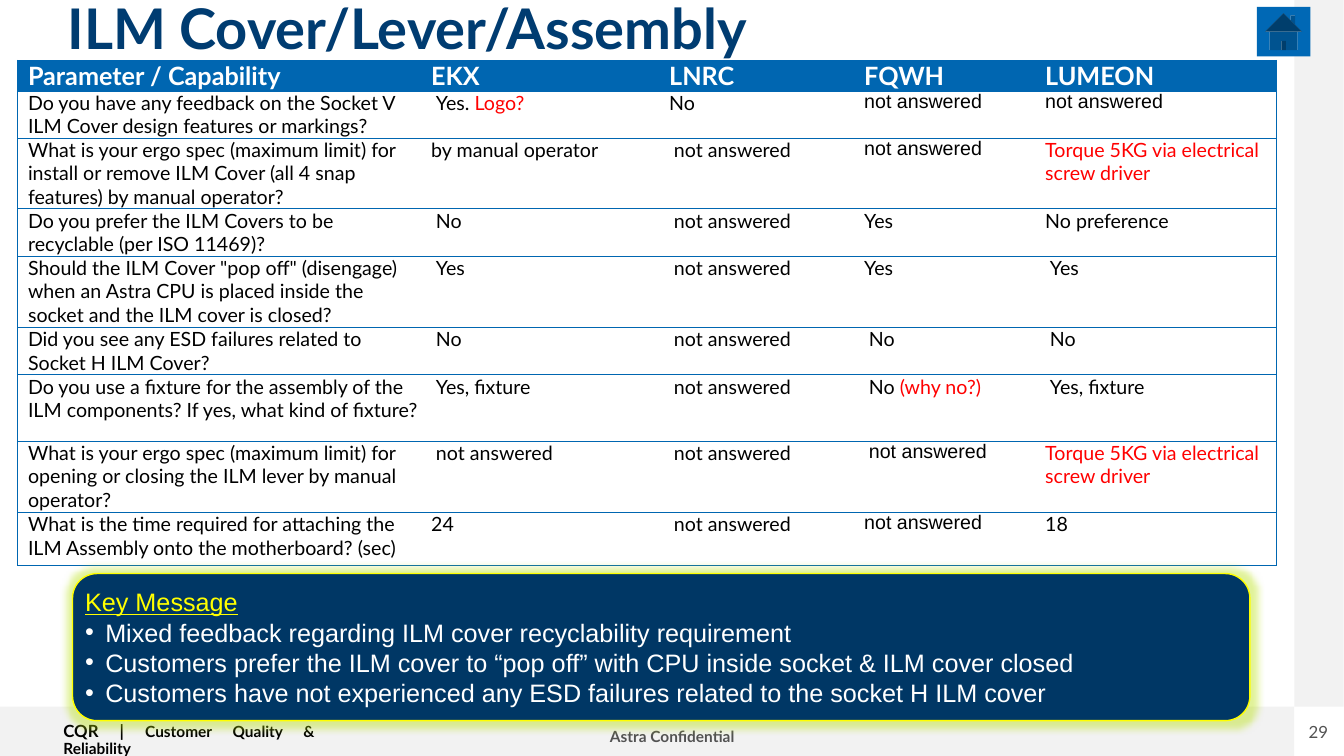
"""Build the survey table slide about the socket cover, lever and assembly."""
from dataclasses import dataclass
from typing import Any

from lxml import etree
from pptx import Presentation
from pptx import util as u
from pptx.dml.color import RGBColor
from pptx.enum import shapes, text
from pptx.oxml import ns

NAVY = RGBColor(0x00, 0x3C, 0x71)
PANEL = RGBColor(0x00, 0x37, 0x65)
BLUE = RGBColor(0x00, 0x66, 0xB1)
HOME = RGBColor(0x00, 0x68, 0xB5)
PALE = RGBColor(0xF2, 0xF2, 0xF2)
GREY = RGBColor(0x52, 0x52, 0x52)
LIME = RGBColor(0xB4, 0xE0, 0x00)
BLACK = RGBColor(0x00, 0x00, 0x00)
WHITE = RGBColor(0xFF, 0xFF, 0xFF)
RED = RGBColor(0xFF, 0x00, 0x00)
YELLOW = RGBColor(0xFF, 0xFF, 0x00)
LATO, ARIAL = "Lato", "Arial"
KIND = shapes.MSO_SHAPE
ALIGN = text.PP_ALIGN
ANCHOR = text.MSO_ANCHOR


@dataclass(frozen=True)
class Box:
    left: float
    top: float
    width: float
    height: float

    def pts(self) -> tuple[u.Pt, ...]:
        return tuple(u.Pt(n) for n in (self.left, self.top, self.width, self.height))


@dataclass(frozen=True)
class Run:
    words: str
    size: float = 14
    color: RGBColor = BLACK
    face: str = LATO
    bold: bool = False
    under: bool = False


@dataclass(frozen=True)
class Cell:
    runs: tuple[Run, ...]
    inset: float = 7.2


@dataclass(frozen=True)
class Row:
    height: float
    cells: tuple[Cell, ...]


@dataclass(frozen=True)
class Form:
    kind: Any
    box: Box
    fill: RGBColor


@dataclass(frozen=True)
class Label:
    box: Box
    runs: tuple[Run, ...]
    align: Any
    inset: tuple[float, float]
    gap: float


def plain(words: str, color: RGBColor = BLACK) -> Cell:
    return Cell((Run(words, color=color),))


def inset(words: str, *more: Run, face: str = LATO) -> Cell:
    return Cell((Run(words, face=face), *more), 10.6)


def head(words: str) -> Cell:
    return Cell((Run(words, 18, WHITE, bold=True),))


NONE = inset("not answered")
BLANK = Cell((Run("not answered", face=ARIAL),))
TORQUE = plain("Torque 5KG via electrical screw driver", RED)
WIDTHS = (288, 170, 139.3, 129.3, 172.4)
ROWS = (
    Row(22, tuple(head(w) for w in ("Parameter / Capability", "EKX", "LNRC", "FQWH", "LUMEON"))),
    Row(33.6, (plain("Do you have any feedback on the Socket V ILM Cover design features or markings?"),
               inset("Yes. ", Run("Logo?", color=RED)), plain("No"), BLANK, BLANK)),
    Row(50.6, (plain("What is your ergo spec (maximum limit) for install or remove ILM Cover "
                     "(all 4 snap features) by manual operator?"),
               plain("by manual operator"), NONE, BLANK, TORQUE)),
    Row(33.4, (plain("Do you prefer the ILM Covers to be recyclable (per ISO 11469)?"),
               inset("No"), NONE, plain("Yes"), plain("No preference"))),
    Row(51.1, (plain('Should the ILM Cover "pop off" (disengage) when an Astra CPU is placed '
                     "inside the socket and the ILM cover is closed?"),
               inset("Yes"), NONE, plain("Yes"), inset("Yes"))),
    Row(33.8, (plain("Did you see any ESD failures related to Socket H ILM Cover?"),
               inset("No"), NONE, inset("No"), inset("No"))),
    Row(47.3, (plain("Do you use a fixture for the assembly of the ILM components? "
                     "If yes, what kind of fixture?"),
               inset("Yes, fixture"), NONE, inset("No ", Run("(why no?)", color=RED)),
               inset("Yes, fixture"))),
    Row(50.8, (plain("What is your ergo spec (maximum limit) for opening or closing "
                     "the ILM lever by manual operator?"),
               NONE, NONE, inset("not answered", face=ARIAL), TORQUE)),
    Row(38.2, (plain("What is the time required for attaching the ILM Assembly "
                     "onto the motherboard? (sec)"),
               plain("24"), NONE, BLANK, plain("18"))),
)
BANDS = (
    Form(KIND.RECTANGLE, Box(0, 504.7, 924.5, 35.3), PALE),
    Form(KIND.RECTANGLE, Box(924.5, 0, 35.3, 504.7), PALE),
)
BUTTON = Form(KIND.ACTION_BUTTON_HOME, Box(897.8, 5, 38.2, 35.3), HOME)
CARD = Form(KIND.ROUNDED_RECTANGLE, Box(51.8, 409.7, 841, 105.1), PANEL)
LABELS = (
    Label(Box(427.7, 517, 105, 19.4), (Run("Astra Confidential", 11, GREY, bold=True),),
          ALIGN.CENTER, (0, 3.6), 0.9),
    Label(Box(928, 515.5, 27.4, 14.4), (Run("29", 12, GREY),), ALIGN.CENTER, (0, 0), 1.0),
    Label(Box(38.2, 512.6, 193.7, 20.2),
          (Run("CQR | ", 12, bold=True), Run("Customer Quality & Reliability", 11, bold=True)),
          ALIGN.JUSTIFY, (7.2, 3.6), 0.9),
)
POINTS = (
    "Mixed feedback regarding ILM cover recyclability requirement",
    "Customers prefer the ILM cover to “pop off” with CPU inside socket & ILM cover closed",
    "Customers have not experienced any ESD failures related to the socket H ILM cover",
)


def assign(target: Any, values: dict[str, Any]) -> None:
    for name, value in values.items():
        setattr(target, name, value)


def margins(side: float, end: float) -> dict[str, Any]:
    return {"margin_left": u.Pt(side), "margin_right": u.Pt(side),
            "margin_top": u.Pt(end), "margin_bottom": u.Pt(end)}


def write(para: Any, runs: tuple[Run, ...]) -> None:
    for run in runs:
        part = para.add_run()
        part.text = run.words
        assign(part.font, {"size": u.Pt(run.size), "name": run.face,
                           "bold": run.bold, "underline": run.under})
        part.font.color.rgb = run.color


def place(item: Any, box: Box) -> None:
    assign(item, dict(zip(("left", "top", "width", "height"), box.pts())))


def draw_form(slide: Any, form: Form) -> Any:
    shape = slide.shapes.add_shape(form.kind, *form.box.pts())
    shape.shadow.inherit = False
    shape.fill.solid()
    shape.fill.fore_color.rgb = form.fill
    shape.line.fill.background()
    return shape


def draw_label(slide: Any, label: Label) -> None:
    frame = slide.shapes.add_textbox(*label.box.pts()).text_frame
    assign(frame, {"word_wrap": True, **margins(*label.inset)})
    assign(frame.paragraphs[0], {"alignment": label.align, "line_spacing": label.gap})
    write(frame.paragraphs[0], label.runs)


def add_node(parent: Any, tag: str, **values: str) -> Any:
    return etree.SubElement(parent, ns.qn(tag), values)


def border(cell: Any, shown: dict[str, bool]) -> None:
    props = cell._tc.get_or_add_tcPr()
    for spot, (side, on) in enumerate(shown.items()):
        line = add_node(props, f"a:ln{side}", w=str(u.Pt(0.75)))
        if on:
            add_node(add_node(line, "a:solidFill"), "a:srgbClr", val=str(BLUE))
        else:
            add_node(line, "a:noFill")
        props.insert(spot, line)


def draw_table(slide: Any) -> None:
    box = Box(12.8, 43, sum(WIDTHS), sum(row.height for row in ROWS))
    table = slide.shapes.add_table(len(ROWS), len(WIDTHS), *box.pts()).table
    table.horz_banding = False
    for col, width in zip(table.columns, WIDTHS):
        col.width = u.Pt(width)
    for i, row in enumerate(ROWS):
        table.rows[i].height = u.Pt(row.height)
        for j, data in enumerate(row.cells):
            cell = table.cell(i, j)
            assign(cell, {**margins(0, 0), "margin_left": u.Pt(data.inset)})
            if i == 0:
                cell.fill.solid()
                cell.fill.fore_color.rgb = BLUE
            else:
                cell.fill.background()
            border(cell, {"L": j == 0, "R": j == len(WIDTHS) - 1, "T": True, "B": True})
            write(cell.text_frame.paragraphs[0], data.runs)


def draw_title(title: Any) -> None:
    place(title, Box(48.2, 0.7, 864, 43.2))
    assign(title.text_frame, {"auto_size": text.MSO_AUTO_SIZE.NONE, "word_wrap": True,
                              "vertical_anchor": ANCHOR.TOP, **margins(0, 0)})
    para = title.text_frame.paragraphs[0]
    assign(para, {"alignment": ALIGN.LEFT, "line_spacing": 0.9})
    write(para, (Run("ILM Cover/Lever/Assembly", 40, NAVY, bold=True),))


def draw_card(slide: Any, body: Any) -> None:
    card = draw_form(slide, CARD)
    card.line.color.rgb = YELLOW
    card.line.width = u.Pt(1)
    effects = card._element.spPr.find(ns.qn("a:effectLst"))
    color = add_node(add_node(effects, "a:glow", rad=str(u.Pt(10))), "a:srgbClr", val=str(LIME))
    add_node(color, "a:alpha", val="40000")
    place(body, CARD.box)
    body.element.getparent().append(body.element)
    frame = body.text_frame
    assign(frame, {"auto_size": text.MSO_AUTO_SIZE.NONE, "word_wrap": True,
                   "vertical_anchor": ANCHOR.MIDDLE, **margins(9, 4.3)})
    runs = (Run("Key Message", 18, YELLOW, ARIAL, under=True),
            *(Run(point, 18, WHITE, ARIAL) for point in POINTS))
    for i, run in enumerate(runs):
        para = frame.add_paragraph() if i else frame.paragraphs[0]
        props = para._p.get_or_add_pPr()
        dent = u.Pt(14.4) if i else 0
        props.set("marL", str(dent))
        props.set("indent", str(-dent))
        if i:
            add_node(props, "a:buChar", char="•")
        else:
            add_node(props, "a:buNone")
        para.space_before = u.Pt(0)
        write(para, (run,))


def main() -> None:
    deck = Presentation()
    assign(deck, {"slide_width": u.Pt(960), "slide_height": u.Pt(540)})
    slide = deck.slides.add_slide(deck.slide_layouts[1])
    title, body = slide.placeholders
    for band in BANDS:
        draw_form(slide, band)
    for label in LABELS:
        draw_label(slide, label)
    draw_title(title)
    draw_table(slide)
    draw_card(slide, body)
    draw_form(slide, BUTTON)
    deck.save("out.pptx")


if __name__ == "__main__":
    main()
